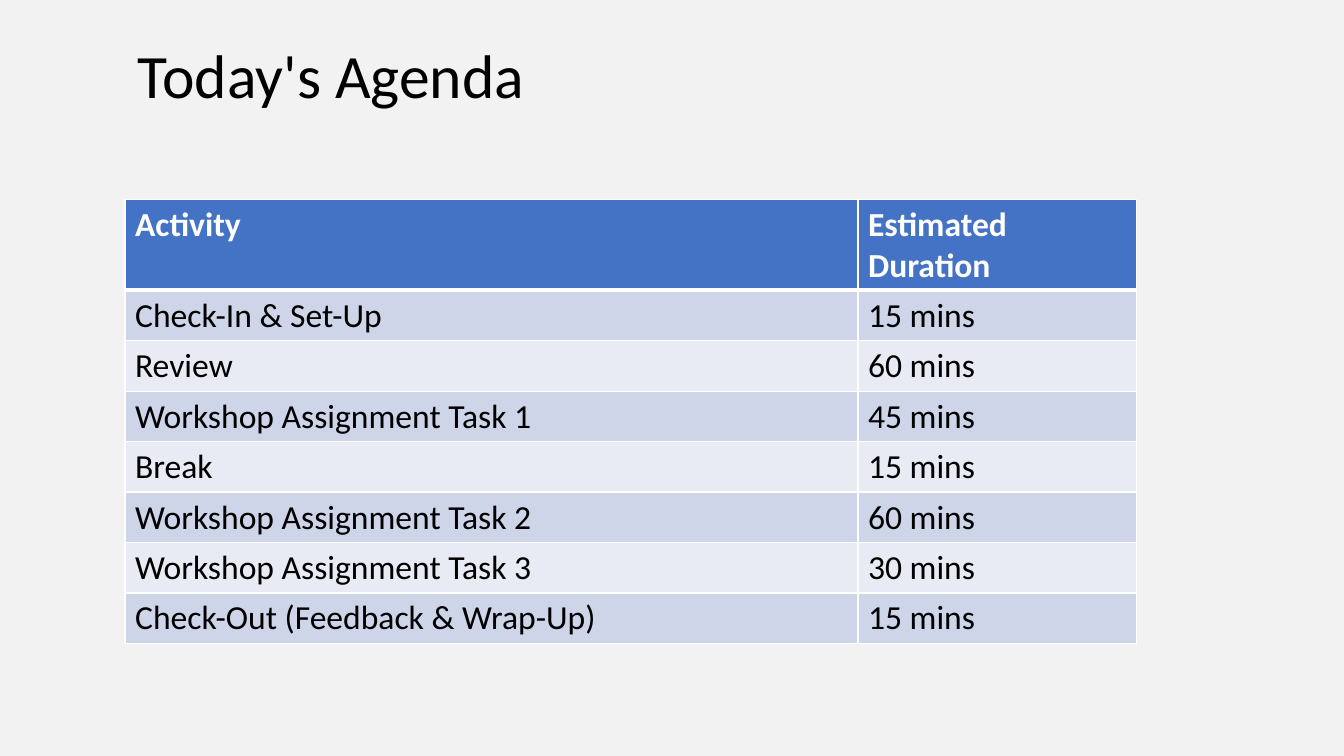
from lxml import etree
from pptx import Presentation
from pptx import util as u
from pptx.dml.color import RGBColor
from pptx.enum import text
from pptx.oxml import ns

COLORS = {
    "background": "F2F2F2",
    "text": "000000",
    "white": "FFFFFF",
    "header": "4472C4",
    "odd": "CFD5E9",
    "even": "E8EBF4",
}

AGENDA = [
    ("Activity", "Estimated Duration"),
    ("Check-In & Set-Up", "15 mins"),
    ("Review", "60 mins"),
    ("Workshop Assignment Task 1", "45 mins"),
    ("Break", "15 mins"),
    ("Workshop Assignment Task 2", "60 mins"),
    ("Workshop Assignment Task 3", "30 mins"),
    ("Check-Out (Feedback & Wrap-Up)", "15 mins"),
]
COLUMN_WIDTHS = (7.27, 2.76)
HEADER_HEIGHT, ROW_HEIGHT = 0.77, 0.49
THIN, THICK = 0.96, 3


def rgb(name):
    return RGBColor.from_string(COLORS[name])


class AgendaSlide:
    """Holds the text style and the current slide."""

    font = "Calibri"

    def __init__(self, prs):
        self.s = prs.slides.add_slide(prs.slide_layouts[6])
        fill = self.s.background.fill
        fill.solid()
        fill.fore_color.rgb = rgb("background")

    def add_words(self, tf, words, color, size, bold=False):
        p = tf.paragraphs[0]
        r = p.add_run()
        r.text = words
        for name, value in {"name": self.font, "size": u.Pt(size), "bold": bold}.items():
            setattr(r.font, name, value)
        r.font.color.rgb = rgb(color)
        return p

    def title(self, words, left, top, width, height):
        sp = self.s.shapes.add_textbox(*map(u.Inches, (left, top, width, height)))
        tf = sp.text_frame
        tf.word_wrap = True
        tf.vertical_anchor = text.MSO_ANCHOR.MIDDLE
        self.add_words(tf, words, "text", 44).line_spacing = 0.9

    def border(self, cell, side, width):
        tc_pr = cell._tc.get_or_add_tcPr()
        ln = etree.SubElement(tc_pr, ns.qn("a:ln" + side), w=str(u.Pt(width)))
        fill = etree.SubElement(ln, ns.qn("a:solidFill"))
        etree.SubElement(fill, ns.qn("a:srgbClr"), val=COLORS["white"])

    def cell(self, cell, words, row):
        is_header = row == 0
        widths = {
            "L": THIN,
            "R": THIN,
            "T": THICK if row == 1 else THIN,
            "B": THICK if is_header else THIN,
        }
        for side, width in widths.items():
            self.border(cell, side, width)
        cell.fill.solid()
        band = "header" if is_header else "odd" if row % 2 else "even"
        cell.fill.fore_color.rgb = rgb(band)
        color = "white" if is_header else "text"
        self.add_words(cell.text_frame, words, color, 24, is_header)

    def table(self, rows, left, top):
        heights = [HEADER_HEIGHT] + [ROW_HEIGHT] * (len(rows) - 1)
        size = (sum(COLUMN_WIDTHS), sum(heights))
        table = self.s.shapes.add_table(
            len(rows), len(COLUMN_WIDTHS), *map(u.Inches, (left, top, *size))
        ).table
        for column, width in zip(table.columns, COLUMN_WIDTHS):
            column.width = u.Inches(width)
        for i, (values, height) in enumerate(zip(rows, heights)):
            table.rows[i].height = u.Inches(height)
            for j, words in enumerate(values):
                self.cell(table.cell(i, j), words, i)


def main():
    prs = Presentation()
    prs.slide_width, prs.slide_height = u.Inches(13.33), u.Inches(7.5)
    agenda = AgendaSlide(prs)
    agenda.title("Today's Agenda", 1.27, 0.05, 10.73, 1.45)
    agenda.table(AGENDA, 1.24, 1.98)
    prs.save("out.pptx")


if __name__ == "__main__":
    main()
